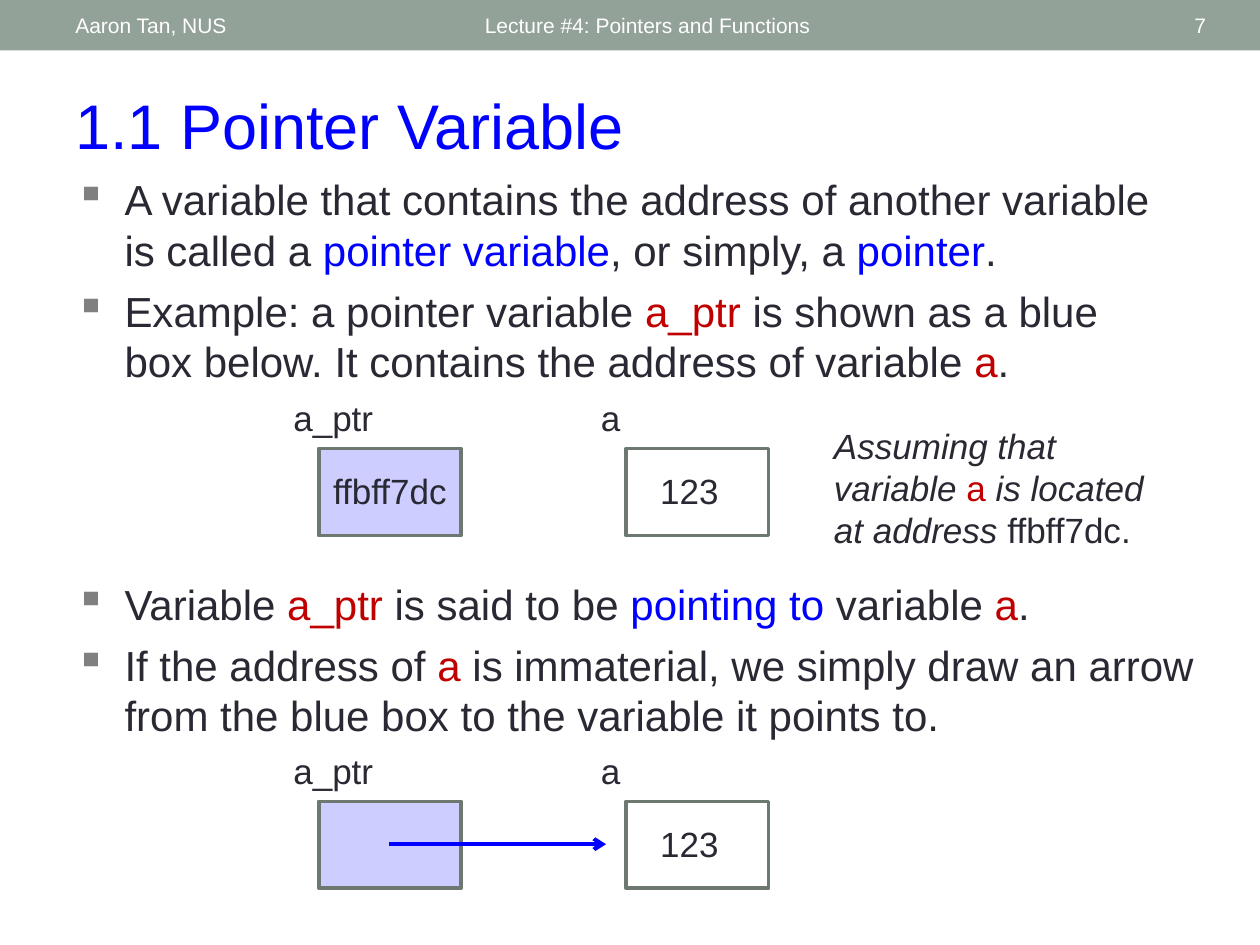
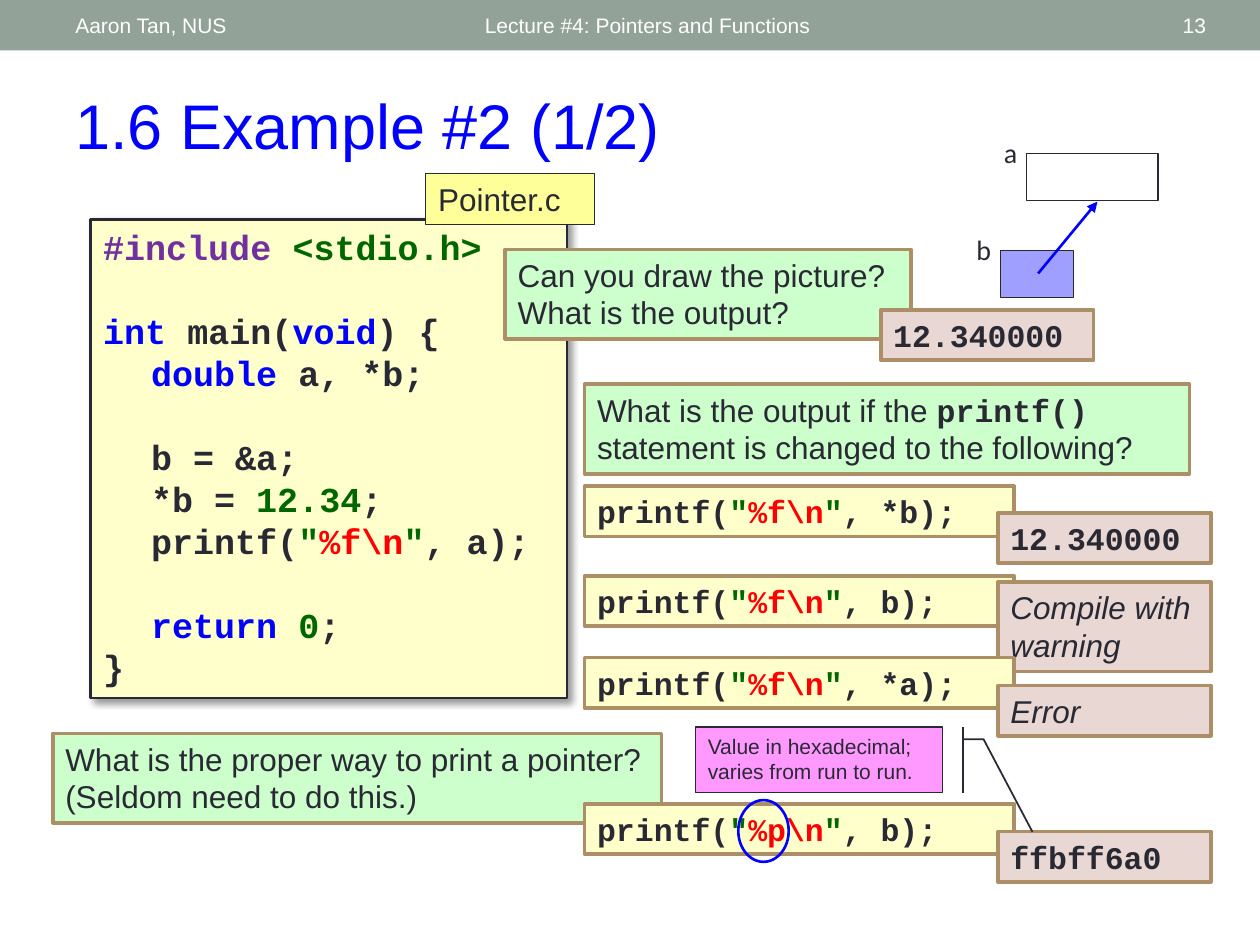
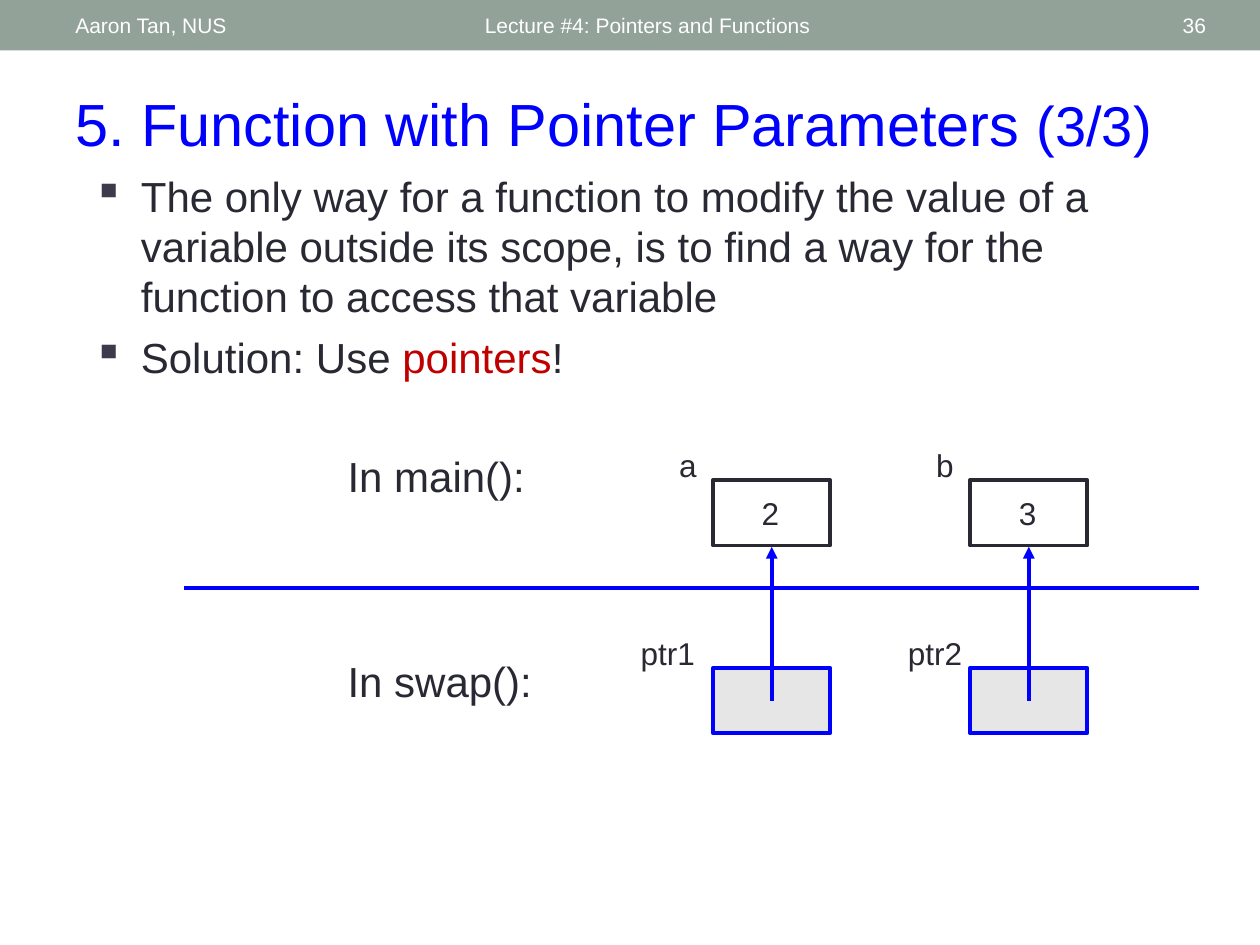
from dataclasses import dataclass

from lxml import etree
from pptx import Presentation
from pptx.dml.color import RGBColor
from pptx.enum.shapes import MSO_CONNECTOR, MSO_SHAPE
from pptx.enum.text import MSO_ANCHOR, PP_ALIGN
from pptx.oxml.ns import qn
from pptx.util import Inches, Pt

RECT, OVAL = MSO_SHAPE.RECTANGLE, MSO_SHAPE.OVAL
CALLOUT = MSO_SHAPE.LINE_CALLOUT_2_BORDER_AND_ACCENT_BAR
STRAIGHT = MSO_CONNECTOR.STRAIGHT
LEFT, CENTER, RIGHT = PP_ALIGN.LEFT, PP_ALIGN.CENTER, PP_ALIGN.RIGHT
TOP, MIDDLE = MSO_ANCHOR.TOP, MSO_ANCHOR.MIDDLE

WIDTH, HEIGHT = Inches(10), Inches(7.5)
COLUMN, ROW = WIDTH / 100, HEIGHT / 75  # the grid has 100 columns and 75 rows

COLORS = {
    "band": "93A299", "white": "FFFFFF", "ink": "292934", "blue": "0000FF",
    "red": "C00000", "purple": "7030A0", "green": "006600", "bright red": "FF0000",
    "bullet gray": "808080", "bullet ink": "3B3B4B", "slate": "6D7871",
    "tan": "AD8F67", "lavender": "CDCDFF", "violet": "9F9FFF", "gray": "E6E6E6",
    "code": "FFFFCC", "file": "FFFF99", "question": "CCFFCC",
    "answer": "E9D7D3", "note": "FF99FF",
}
BASE = {"name": "Arial", "size": 18, "color": "ink"}
MONO = {"name": "Courier New", "bold": True}
ITALIC = {"italic": True}
BAND = {"size": 12, "color": "white"}
BODY = {"size": 24}
LABEL = {"size": 20}


@dataclass
class Box:
    """A region in grid columns and rows."""
    x: float
    y: float
    w: float
    h: float

    def area(self, x, y, w, h):
        return Box(self.x + x, self.y + y, w, h)

    def emu(self):
        return [round(n * unit) for n, unit in
                zip((self.x, self.y, self.w, self.h), (COLUMN, ROW) * 2)]


SLIDE = Box(0, 0, 100, 75)


def rgb(color):
    return RGBColor.from_string(COLORS[color])


def style(font, formats):
    for key, value in formats.items():
        if key == "color":
            font.color.rgb = rgb(value)
        else:
            setattr(font, key, Pt(value) if key == "size" else value)


def write(frame, paragraphs, formats, align=LEFT, anchor=TOP):
    """Fill a frame; a paragraph is a string or a list of strings and (text, formats)."""
    frame.word_wrap = True
    frame.vertical_anchor = anchor
    for number, runs in enumerate(paragraphs):
        paragraph = frame.add_paragraph() if number else frame.paragraphs[0]
        paragraph.alignment = align
        for item in [runs] if isinstance(runs, str) else runs:
            text, extra = (item, {}) if isinstance(item, str) else item
            run = paragraph.add_run()
            run.text = text
            style(run.font, BASE | formats | extra)


def add_text(slide, box, paragraphs, formats, **layout):
    frame = slide.shapes.add_textbox(*box.emu()).text_frame
    write(frame, paragraphs, formats, **layout)
    return frame


def add_box(slide, box, fill=None, line=None, width=2.08, kind=RECT):
    shape = slide.shapes.add_shape(kind, *box.emu())
    shape.shadow.inherit = False
    if fill:
        shape.fill.solid()
        shape.fill.fore_color.rgb = rgb(fill)
    else:
        shape.fill.background()
    if line:
        shape.line.color.rgb = rgb(line)
        shape.line.width = Pt(width)
    else:
        shape.line.fill.background()
    return shape


def add_panel(slide, box, fill, paragraphs, formats, line="tan", width=2.08):
    shape = add_box(slide, box, fill, line, width)
    write(shape.text_frame, paragraphs, formats)
    return shape


def add_line(slide, box, width=2.25, head=None):
    """Draw a blue line from the corner of the box across its signed size."""
    x, y, w, h = box.emu()
    line = slide.shapes.add_connector(STRAIGHT, x, y, x + w, y + h)
    line.line.color.rgb = rgb("blue")
    line.line.width = Pt(width)
    properties = line._element.spPr
    if head:
        etree.SubElement(properties.find(qn("a:ln")), qn("a:tailEnd"), type=head)
    etree.SubElement(properties, qn("a:effectLst"))


def add_bullets(slide, box, paragraphs, bullet_color, indent):
    frame = add_text(slide, box, paragraphs, BODY)
    for number, paragraph in enumerate(frame.paragraphs):
        properties = paragraph._p.get_or_add_pPr()
        properties.set("marL", str(Inches(indent)))
        properties.set("indent", str(-Inches(indent)))
        color = etree.SubElement(properties, qn("a:buClr"))
        etree.SubElement(color, qn("a:srgbClr"), val=COLORS[bullet_color])
        etree.SubElement(properties, qn("a:buChar"), char="▪")
        if number:
            paragraph.space_before = Pt(6)


def start_slide(deck, number, title):
    slide = deck.slides.add_slide(deck.slide_layouts[6])
    add_box(slide, SLIDE.area(0, 0, 100, 4), "band")
    for x, w, text, align in [(37.5, 45, "Lecture #4: Pointers and Functions", LEFT),
                              (5, 31.7, "Aaron Tan, NUS", LEFT),
                              (87.2, 9.5, str(number), RIGHT)]:
        add_text(slide, SLIDE.area(x, 0.2, w, 3.6), [text], BAND, align=align, anchor=MIDDLE)
    add_text(slide, SLIDE.area(5, 6.4, 91.7, 7.1), [title], {"size": 36, "color": "blue"})
    return slide


def blue(text):
    return text, {"color": "blue"}


def red(text):
    return text, {"color": "red"}


def green(text):
    return text, {"color": "green"}


def printf(conversion, argument):
    return ["printf(", green('"'), (conversion + "\\n", {"color": "bright red"}),
            green('"'), f", {argument});"]


def pointer_and_target(slide, box, address=None):
    """Draw a_ptr and a; without an address, an arrow joins them."""
    cells = [(0, "a_ptr", 8.6, "lavender"), (24.4, "a", 5.6, None)]
    for x, name, w, fill in cells:
        add_box(slide, box.area(x + 3, 4.6, 11.3, 6.9), fill, "slate")
        add_text(slide, box.area(x, 0, w, 4.4), [name], LABEL)
    add_text(slide, box.area(29.1, 5.8, 7.8, 4.4), ["123"], LABEL)
    if address:
        add_text(slide, box.area(3, 5.8, 11.3, 4.4), [address], LABEL, align=CENTER)
    else:
        add_line(slide, box.area(8.6, 8, 17.2, 0), head="arrow")


def pointer_variable_slide(deck):
    slide = start_slide(deck, 7, "1.1 Pointer Variable")
    add_bullets(slide, SLIDE.area(5, 13.3, 87.6, 21.6), [
        ["A variable that contains the address of another variable is called a ",
         blue("pointer variable"), ", or simply, a ", blue("pointer"), "."],
        ["Example: a pointer variable ", red("a_ptr"), " is shown as a blue box below. "
         "It contains the address of variable ", red("a"), "."],
    ], "bullet gray", 0.39)
    add_bullets(slide, SLIDE.area(5, 45.4, 91.1, 14.1), [
        ["Variable ", red("a_ptr"), " is said to be ", blue("pointing to "),
         "variable ", red("a"), "."],
        ["If the address of ", red("a"), " is immaterial, we simply draw an arrow "
         "from the blue box to the variable it points to."],
    ], "bullet gray", 0.39)
    pointer_and_target(slide, SLIDE.area(22.3, 31, 38.7, 11.5), "ffbff7dc")
    add_text(slide, SLIDE.area(65.2, 33.2, 29.1, 11.1), [
        [("Assuming that variable ", ITALIC), red("a"),
         (" is located at address ", ITALIC), "ffbff7dc."]], LABEL)
    pointer_and_target(slide, SLIDE.area(22.3, 59, 38.7, 11.5))


def program(slide, box):
    """Draw the listing with its file name; each line has an indent and a gap flag."""
    lines = [
        (0, False, [("#include ", {"color": "purple"}), green("<stdio.h>")]),
        (0, True, [blue("int"), " main(", blue("void"), ") {"]),
        (1, False, [blue("double"), " a, *b;"]),
        (1, True, ["b = &a;"]),
        (1, False, ["*b = ", green("12.34"), ";"]),
        (1, False, printf("%f", "a")),
        (1, True, [blue("return "), green("0"), ";"]),
        (0, False, ["}"]),
    ]
    listing = add_panel(slide, box, "code", [runs for _, _, runs in lines],
                        MONO | LABEL, "ink", 1.5)
    for paragraph, (level, gap, _) in zip(listing.text_frame.paragraphs, lines):
        paragraph._p.get_or_add_pPr().set("marL", str(Inches(0.38 * level)))
        if gap:
            paragraph.space_before = Pt(24)
    effects = listing._element.spPr.find(qn("a:effectLst"))
    shadow = etree.SubElement(effects, qn("a:outerShdw"), blurRad=str(Pt(4)),
                              dist=str(Pt(3)), dir=str(45 * 60000), rotWithShape="0")
    black = etree.SubElement(shadow, qn("a:srgbClr"), val="000000")
    etree.SubElement(black, qn("a:alpha"), val="40000")
    add_panel(slide, box.area(26.6, -3.6, 13.4, 4), "file", ["Pointer.c"], {}, "ink", 0.75)


def memory_sketch(slide, box):
    for name, x, y, cell_x, w, fill in [("a", 2.2, 0, 5, 10.4, None),
                                        ("b", 0, 7.7, 2.9, 5.8, "violet")]:
        add_text(slide, box.area(x, y, 3.7, 3.7), [name], {"name": "Calibri", "size": 16})
        add_box(slide, box.area(cell_x, y + 1.9, w, 3.7), fill, "ink", 0.75)
    add_line(slide, box.area(5.9, 11.4, 4.7, -5.7), 1.5, "triangle")


def variant(slide, box, conversion, argument, answer, formats, drop, rows=4):
    """Draw a printf variant and, lower right, what it leads to."""
    add_panel(slide, box, "code", [printf(conversion, argument)], MONO)
    add_panel(slide, box.area(32.8, drop, 16.9, rows), "answer", [answer], formats)


def hexadecimal_note(slide, box):
    note = add_box(slide, box, "note", "ink", 1, CALLOUT)
    note._element.spPr.xfrm.set("flipH", "1")
    for index, share in enumerate([0.188, -0.083, 0.188, -0.167, 1.601, -0.365]):
        note.adjustments[index] = share
    write(note.text_frame, ["Value in hexadecimal; varies from run to run."], {"size": 12})


def example_slide(deck):
    slide = start_slide(deck, 13, "1.6 Example #2 (1/2)")
    program(slide, SLIDE.area(7.2, 17.4, 37.8, 38))
    add_panel(slide, SLIDE.area(40.1, 19.8, 32.2, 7.1), "question",
              ["Can you draw the picture?", "What is the output?"], {})
    add_panel(slide, SLIDE.area(69.9, 24.6, 16.9, 4), "answer", ["12.340000"], MONO)
    memory_sketch(slide, SLIDE.area(76.5, 10.3, 15.4, 13.3))
    add_panel(slide, SLIDE.area(46.4, 30.5, 48, 7.1), "question",
              [["What is the output if the ", ("printf() ", MONO),
                "statement is changed to the following?"]], {})
    add_panel(slide, SLIDE.area(4.2, 58.2, 48.3, 7.1), "question",
              ["What is the proper way to print a pointer? (Seldom need to do this.)"], {})
    for y, *content in [
        (38.6, "%f", "*b", "12.340000", MONO, 2.1),
        (45.7, "%f", "b", "Compile with warning", ITALIC, 0.5, 7.1),
        (52.2, "%f", "*a", "Error", ITALIC, 2.2),
        (63.8, "%p", "b", "ffbff6a0", MONO, 2.2),
    ]:
        variant(slide, SLIDE.area(46.4, y, 34.1, 4), *content)
    add_box(slide, SLIDE.area(58.6, 63.5, 4, 4.9), line="blue", width=1.5, kind=OVAL)
    hexadecimal_note(slide, SLIDE.area(55.2, 57.7, 19.6, 5.2))


def pointed_cell(slide, box, name, value, pointer, label_x, label_w):
    """Draw a variable and, below it, the parameter pointing to it."""
    add_box(slide, box.area(0, 0, 9.3, 5.2), line="ink")
    add_box(slide, box.area(0, 14.9, 9.3, 5.2), "gray", "blue")
    for x, y, w, text in [(1.5, 0.6, 6.1, value), (-4, -3.2, 4, name),
                          (label_x, 11.7, label_w, pointer)]:
        add_text(slide, box.area(x, y, w, 4), [text], {}, align=CENTER)
    add_line(slide, box.area(4.65, 17.5, 0, -12.2), head="triangle")


def parameters_slide(deck):
    slide = start_slide(deck, 36, [("5. Function with Pointer Parameters ", {"size": 34}),
                                   ("(3/3)", {"size": 32})])
    add_bullets(slide, SLIDE.area(6.4, 13, 90, 54.5), [
        "The only way for a function to modify the value of a variable outside its scope, "
        "is to find a way for the function to access that variable",
        ["Solution: Use ", red("pointers"), "!"],
    ], "bullet ink", 0.38)
    for y, scope in [(35.3, "In main():"), (51.5, "In swap():")]:
        add_text(slide, SLIDE.area(26.6, y, 16.9, 5), [scope], BODY)
    add_line(slide, SLIDE.area(14.6, 46.7, 80.6, 0))
    for x, *content in [(56.6, "a", "2", "ptr1", -8.7, 10.2),
                        (77, "b", "3", "ptr2", -7.2, 8.8)]:
        pointed_cell(slide, SLIDE.area(x, 38.1, 9.3, 20.1), *content)


def main():
    deck = Presentation()
    deck.slide_width, deck.slide_height = WIDTH, HEIGHT
    pointer_variable_slide(deck)
    example_slide(deck)
    parameters_slide(deck)
    deck.save("out.pptx")


if __name__ == "__main__":
    main()
